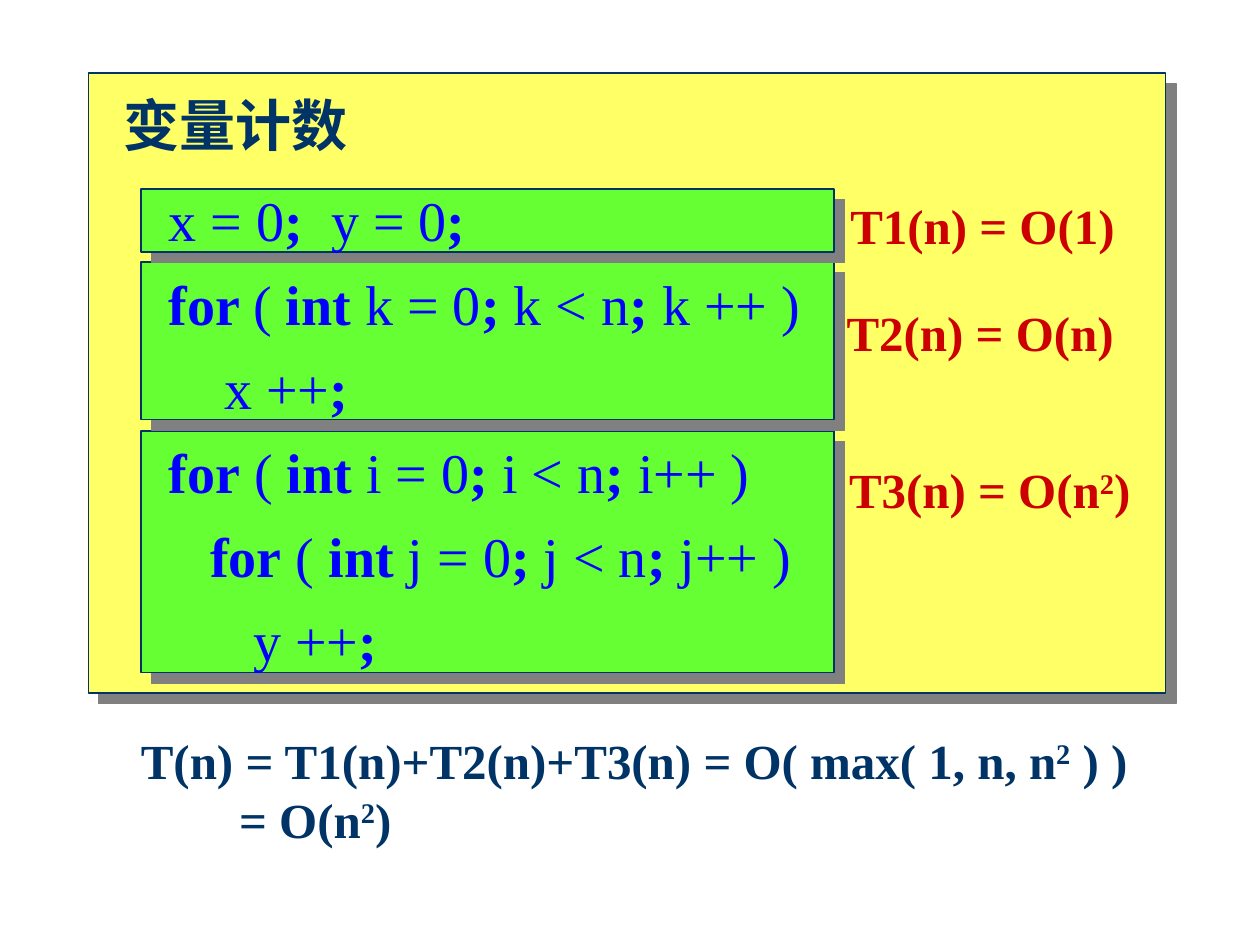
from dataclasses import dataclass

from lxml import etree
from pptx import Presentation
from pptx.dml.color import RGBColor
from pptx.enum.shapes import MSO_SHAPE
from pptx.enum.text import MSO_ANCHOR, MSO_AUTO_SIZE, PP_ALIGN
from pptx.oxml.ns import qn
from pptx.util import Inches, Pt

RECTANGLE = MSO_SHAPE.RECTANGLE
TOP = MSO_ANCHOR.TOP
LEFT = PP_ALIGN.LEFT
GROW = MSO_AUTO_SIZE.SHAPE_TO_FIT_TEXT

FONT = "Times New Roman"
TITLE_ONLY = 5
COLORS = {
    "navy": "003366",
    "yellow": "FFFF66",
    "green": "66FF33",
    "blue": "0000FF",
    "red": "CC0000",
    "shadow": "808080",
}
BOLD_MARK = "*"
SUPERSCRIPT_MARK = "^"


@dataclass
class Area:
    left: float
    top: float
    width: float
    height: float

    def lengths(self) -> tuple:
        return tuple(Inches(v) for v in (self.left, self.top, self.width, self.height))


@dataclass
class Panel:
    area: Area
    fill: str


@dataclass
class Line:
    text: str
    indent: float = 0


@dataclass
class TextBlock:
    area: Area
    lines: list[Line]
    size: int
    color: str
    mark: str = SUPERSCRIPT_MARK
    spacing: float = 1.0


PANELS = [
    Panel(Area(0.7, 0.58, 8.55, 4.92), "yellow"),
    Panel(Area(1.12, 3.42, 5.5, 1.92), "green"),
    Panel(Area(1.12, 2.08, 5.5, 1.25), "green"),
    Panel(Area(1.12, 1.5, 5.5, 0.5), "green"),
]

TITLE = TextBlock(Area(0.88, 0.67, 2.1, 0.64), [Line("变量计数")], 32, "navy")

CODE = TextBlock(
    Area(1.24, 1.29, 5.22, 4.1),
    [
        Line("x = 0*;*  y = 0*;*"),
        Line("*for *(* int* k = 0*;* k < n*;* k ++ )"),
        Line("x ++*;*", 0.44),
        Line("*for* (* int *i = 0*;* i < n*;* i++ )"),
        Line("*for* (* int* j = 0*;* j < n*;* j++ )", 0.33),
        Line("y ++*;*", 0.67),
    ],
    32, "blue", BOLD_MARK, 1.25,
)

FORMULAS = [
    TextBlock(Area(6.65, 1.5, 2.3, 0.57), [Line("T1(n) = O(1)")], 28, "red"),
    TextBlock(Area(6.62, 2.35, 2.32, 0.57), [Line("T2(n) = O(n)")], 28, "red"),
    TextBlock(Area(6.64, 3.6, 2.43, 0.57), [Line("T3(n) = O(n^2^)")], 28, "red"),
    TextBlock(
        Area(1.02, 5.75, 8.03, 1.04),
        [
            Line("T(n) = T1(n)+T2(n)+T3(n) = O( max( 1, n, n^2^ ) )"),
            Line("= O(n^2^)", 0.78),
        ],
        28, "navy",
    ),
]


def rgb(name: str) -> RGBColor:
    return RGBColor.from_string(COLORS[name])


def add_hard_shadow(shape) -> None:
    """Put an unblurred grey shadow to the lower right."""
    effects = etree.SubElement(shape.element.spPr, qn("a:effectLst"))
    shadow = etree.SubElement(
        effects, qn("a:outerShdw"),
        dist=str(Pt(8.5)), dir=str(45 * 60000), algn="ctr", rotWithShape="0",
    )
    etree.SubElement(shadow, qn("a:srgbClr"), val=COLORS["shadow"])


def add_panel(slide, panel: Panel) -> None:
    shape = slide.shapes.add_shape(RECTANGLE, *panel.area.lengths())
    shape.fill.solid()
    shape.fill.fore_color.rgb = rgb(panel.fill)
    shape.line.color.rgb = rgb("navy")
    shape.line.width = Pt(0.75)
    add_hard_shadow(shape)


def write_line(para, line: Line, block: TextBlock) -> None:
    """Write the line; text between two marks is bold or superscript."""
    para.alignment = LEFT
    para.line_spacing = block.spacing
    if line.indent:
        properties = para._p.get_or_add_pPr()
        properties.set("marL", str(Inches(line.indent)))
        properties.set("indent", "0")
    for index, text in enumerate(line.text.split(block.mark)):
        if not text:
            continue
        marked = index % 2 == 1
        span = para.add_run()
        span.text = text
        span.font.name = FONT
        span.font.size = Pt(block.size)
        span.font.color.rgb = rgb(block.color)
        span.font.bold = marked or block.mark == SUPERSCRIPT_MARK
        if marked and block.mark == SUPERSCRIPT_MARK:
            span._r.get_or_add_rPr().set("baseline", "30000")


def fill_box(box, block: TextBlock) -> None:
    box.left, box.top, box.width, box.height = block.area.lengths()
    frame = box.text_frame
    frame.word_wrap = False
    frame.auto_size = GROW
    frame.vertical_anchor = TOP
    for index, line in enumerate(block.lines):
        para = frame.add_paragraph() if index else frame.paragraphs[0]
        write_line(para, line, block)


def main() -> None:
    deck = Presentation()
    deck.slide_width, deck.slide_height = Inches(10), Inches(7.5)
    slide = deck.slides.add_slide(deck.slide_layouts[TITLE_ONLY])
    for panel in PANELS:
        add_panel(slide, panel)

    title = slide.shapes.title
    fill_box(title, TITLE)
    # The title must lie in front of the yellow panel.
    slide.shapes.element.append(title.element)

    for block in [CODE, *FORMULAS]:
        fill_box(slide.shapes.add_textbox(*block.area.lengths()), block)
    deck.save("out.pptx")


if __name__ == "__main__":
    main()
